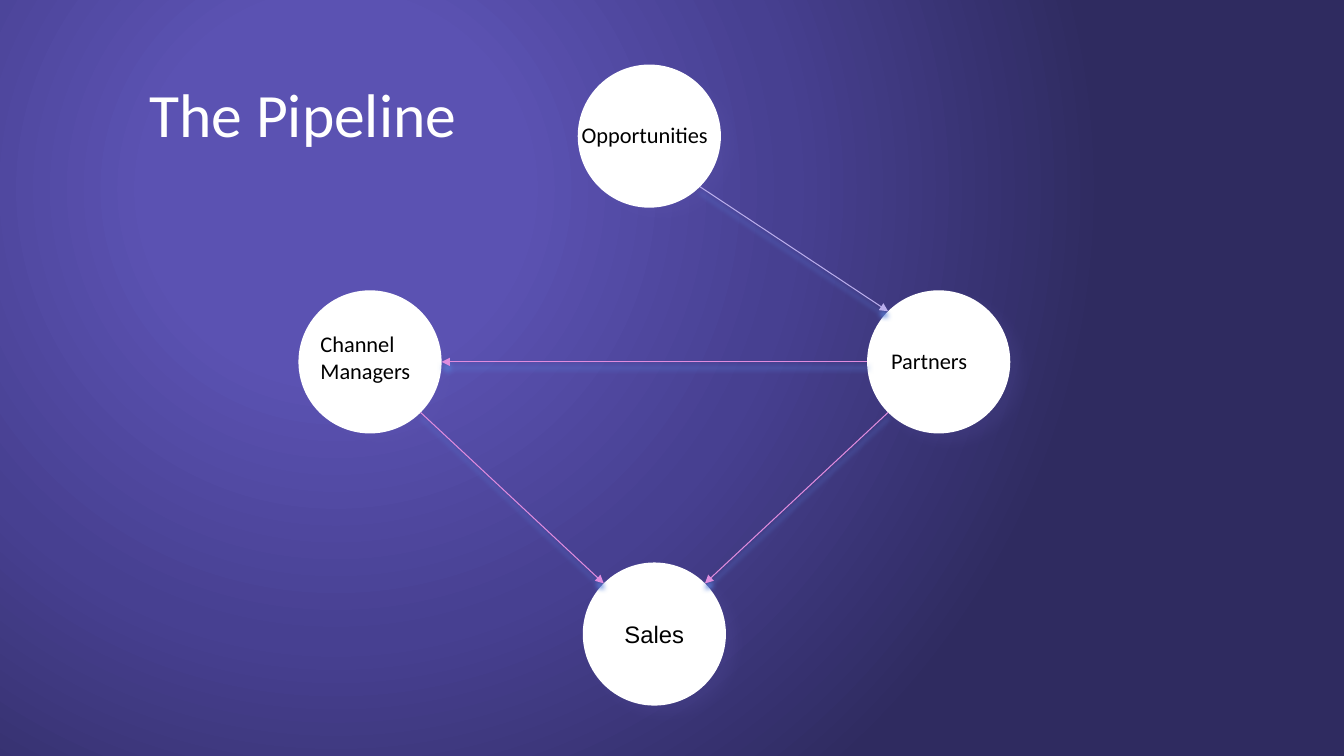
from math import cos, radians, sin

from lxml import etree
from pptx import Presentation
from pptx.dml.color import RGBColor
from pptx.enum.shapes import MSO_CONNECTOR, MSO_SHAPE
from pptx.enum.text import MSO_ANCHOR, MSO_AUTO_SIZE, PP_ALIGN
from pptx.oxml import parse_xml
from pptx.oxml.ns import nsdecls, qn
from pptx.util import Inches, Pt

ELLIPSE = MSO_SHAPE.OVAL
STRAIGHT = MSO_CONNECTOR.STRAIGHT
LEFT, CENTER = PP_ALIGN.LEFT, PP_ALIGN.CENTER
TOP, MIDDLE = MSO_ANCHOR.TOP, MSO_ANCHOR.MIDDLE
GROW, FIXED = MSO_AUTO_SIZE.SHAPE_TO_FIT_TEXT, MSO_AUTO_SIZE.NONE

TITLE = ("The Pipeline", (1.38, 0.7, 3.52, 0.84))
DIAMETER = 1.42
CIRCLES = {
    "Opportunities": (5.73, 0.64),
    "Partners": (8.6, 2.88),
    "Channel Managers": (2.96, 2.88),
    "Sales": (5.78, 5.58),
}
LABELS = [
    ("Channel\nManagers", (3.08, 3.23, 1.25, 0.64)),
    ("Partners", (8.74, 3.39, 1.14, 0.37)),
    ("Opportunities", (5.67, 1.15, 1.75, 0.37)),
]
LILAC, PINK = "BAAEEC", "E08CDE"
ARROWS = [
    ("Opportunities", 45, "Partners", 225, LILAC),
    ("Channel Managers", 45, "Sales", 225, PINK),
    ("Partners", 135, "Sales", 315, PINK),
    ("Partners", 180, "Channel Managers", 0, PINK),
]
BACKGROUND = [(24, "5B52B2"), (59, "474091"), (100, "2F2B60")]
CIRCLE_SHADOW = ("665EB8", 15, 10, 9, 38)
ARROW_SHADOW = ("5982DB", 100, 4, 4, 90)


def rgb(color):
    return RGBColor.from_string(color)


def add_shadow(shape, color, alpha, blur, distance, angle):
    shape._element.spPr.append(parse_xml(
        f'<a:effectLst {nsdecls("a")}><a:outerShdw blurRad="{Pt(blur)}" '
        f'dist="{Pt(distance)}" dir="{angle * 60000}" algn="ctr" rotWithShape="0">'
        f'<a:srgbClr val="{color}"><a:alpha val="{alpha * 1000}"/></a:srgbClr>'
        '</a:outerShdw></a:effectLst>'))


def set_background(slide):
    stops = "".join(f'<a:gs pos="{pos * 1000}"><a:srgbClr val="{color}"/></a:gs>'
                    for pos, color in BACKGROUND)
    slide._element.cSld.insert(0, parse_xml(
        f'<p:bg {nsdecls("p", "a")}><p:bgPr><a:gradFill rotWithShape="1">'
        f'<a:gsLst>{stops}</a:gsLst><a:path path="circle">'
        '<a:fillToRect l="50000" t="50000" r="100000" b="100000"/></a:path>'
        '</a:gradFill><a:effectLst/></p:bgPr></p:bg>'))


def write(shape, text, size=16, font="Calibri", color="000000", align=LEFT,
          anchor=TOP, insets=(0.1, 0.05), fit=GROW):
    tf = shape.text_frame
    tf.word_wrap = True
    tf.auto_size = fit
    tf.vertical_anchor = anchor
    tf.margin_left = tf.margin_right = Inches(insets[0])
    tf.margin_top = tf.margin_bottom = Inches(insets[1])
    for i, line in enumerate(text.split("\n")):
        p = tf.paragraphs[0] if i == 0 else tf.add_paragraph()
        p.alignment = align
        r = p.add_run()
        r.text = line
        r.font.size = Pt(size)
        r.font.name = font
        r.font.color.rgb = rgb(color)


def add_circle(slide, left, top):
    sp = slide.shapes.add_shape(ELLIPSE, *map(Inches, (left, top, DIAMETER, DIAMETER)))
    sp.shadow.inherit = False
    sp._element.spPr.remove(sp._element.spPr.find(qn("a:effectLst")))
    sp.fill.solid()
    sp.fill.fore_color.rgb = rgb("FFFFFF")
    sp.line.fill.background()
    add_shadow(sp, *CIRCLE_SHADOW)
    return sp


def rim_point(name, angle):
    left, top = CIRCLES[name]
    radius = DIAMETER / 2
    return (Inches(left + radius + radius * cos(radians(angle))),
            Inches(top + radius + radius * sin(radians(angle))))


def add_arrow(slide, source, leave, target, arrive, color):
    line = slide.shapes.add_connector(
        STRAIGHT, *rim_point(source, leave), *rim_point(target, arrive))
    line.line.color.rgb = rgb(color)
    line.line.width = Pt(0.75)
    etree.SubElement(line.line._get_or_add_ln(), qn("a:tailEnd"), type="triangle")
    add_shadow(line, *ARROW_SHADOW)


def main():
    prs = Presentation()
    prs.slide_width, prs.slide_height = Inches(13.33), Inches(7.5)
    slide = prs.slides.add_slide(prs.slide_layouts[5])
    set_background(slide)

    text, box = TITLE
    title = slide.shapes.title
    title.left, title.top, title.width, title.height = map(Inches, box)
    write(title, text, size=44, color="FFFFFF")

    circles = {name: add_circle(slide, *place) for name, place in CIRCLES.items()}
    write(circles["Sales"], "Sales", size=17, font="Arial", align=CENTER,
          anchor=MIDDLE, insets=(0, 0), fit=FIXED)
    for text, box in LABELS:
        write(slide.shapes.add_textbox(*map(Inches, box)), text)
    for arrow in ARROWS:
        add_arrow(slide, *arrow)

    prs.save("out.pptx")


if __name__ == "__main__":
    main()
